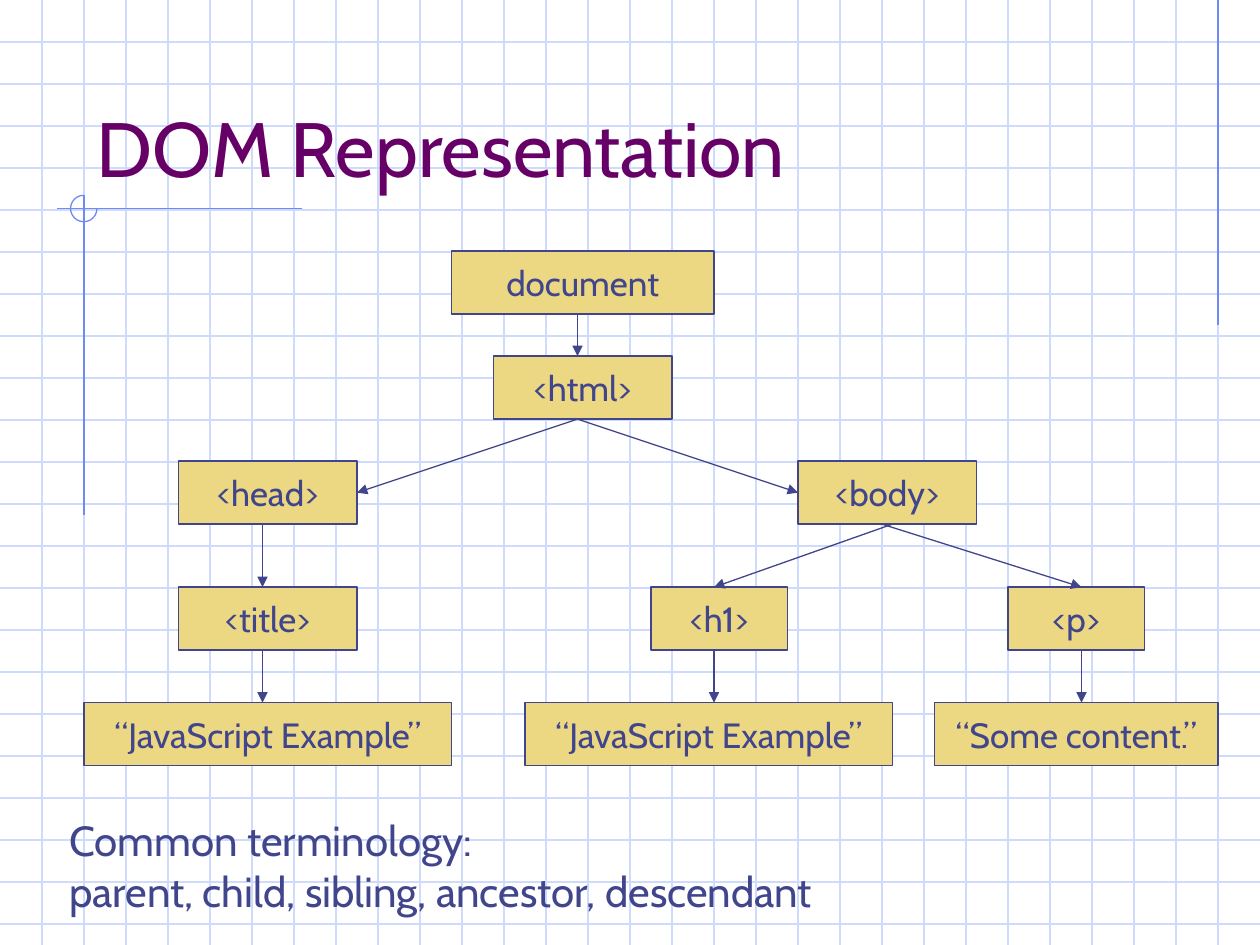
from lxml import etree
from pptx import Presentation
from pptx import util as u
from pptx.dml.color import RGBColor
from pptx.enum import shapes, text
from pptx.oxml.ns import qn

COLORS = {
    "grid": "CFDBFD",
    "accent": "6F89F7",
    "title": "660066",
    "ink": "40458C",
    "node": "ECD882",
}
FONT = "Cabin"
COLUMNS, ROWS = 30, 22.5  # square cells, a third of an inch each
CELL = u.Inches(10) / COLUMNS
NODE_HEIGHT = 1.5
LEVELS = [5.98, 8.48, 10.98, 13.98, 16.73]  # top row of each tree level
LEFT, RIGHT = 1, 3  # connection sites of a rectangle

# key: (label, level, left column, width in columns)
NODES = {
    "document": ("document", 0, 10.75, 6.25),
    "html": ("<html>", 1, 11.75, 4.25),
    "head": ("<head>", 2, 4.25, 4.25),
    "body": ("<body>", 2, 19, 4.25),
    "title": ("<title>", 3, 4.25, 4.25),
    "h1": ("<h1>", 3, 15.5, 3.25),
    "p": ("<p>", 3, 24, 3.25),
    "title text": ("“JavaScript Example”", 4, 2, 8.75),
    "h1 text": ("“JavaScript Example”", 4, 12.5, 8.75),
    "p text": ("“Some content.”", 4, 22.25, 6.75),
}

# (parent, start column, child, end column), from bottom edge to top edge
DOWN_ARROWS = [
    ("document", 13.75, "html", 13.75),
    ("head", 6.25, "title", 6.25),
    ("body", 21.25, "h1", 17),
    ("body", 21, "p", 25.75),
    ("title", 6.25, "title text", 6.25),
    ("h1", 17, "h1 text", 17),
    ("p", 25.75, "p text", 25.75),
]


def cells(count):
    return u.Emu(round(count * CELL))


def color(name):
    return RGBColor.from_string(COLORS[name])


def add_line(slide, start, end, color_name, arrow=False):
    line = slide.shapes.add_connector(
        shapes.MSO_CONNECTOR.STRAIGHT, *map(cells, (*start, *end)))
    line.line.color.rgb = color(color_name)
    line.line.width = u.Pt(0.75)
    if arrow:
        etree.SubElement(line.line._get_or_add_ln(), qn("a:tailEnd"), type="triangle")
    etree.SubElement(line._element.spPr, qn("a:effectLst"))
    return line


def set_text(shape, lines, size, color_name, anchor, alignment):
    frame = shape.text_frame
    frame.word_wrap = True
    frame.vertical_anchor = anchor
    frame.text = "\n".join(lines)
    for paragraph in frame.paragraphs:
        paragraph.alignment = alignment
        paragraph.font.name = FONT
        paragraph.font.size = u.Pt(size)
        paragraph.font.color.rgb = color(color_name)


def add_text(slide, box, lines, size, color_name, anchor):
    shape = slide.shapes.add_textbox(*map(cells, box))
    set_text(shape, lines, size, color_name, anchor, text.PP_ALIGN.LEFT)


def add_node(slide, label, level, left, width):
    shape = slide.shapes.add_shape(
        shapes.MSO_SHAPE.RECTANGLE,
        *map(cells, (left, LEVELS[level], width, NODE_HEIGHT)))
    shape.shadow.inherit = False
    shape.fill.solid()
    shape.fill.fore_color.rgb = color("node")
    shape.line.color.rgb = color("ink")
    shape.line.width = u.Pt(0.75)
    set_text(shape, [label], 20, "ink", text.MSO_ANCHOR.MIDDLE, text.PP_ALIGN.CENTER)
    shape.text_frame.word_wrap = False
    return shape


def add_background(slide):
    # Graph paper
    for row in range(1, int(ROWS) + 1):
        add_line(slide, (0, row), (COLUMNS, row), "grid")
    for column in range(1, COLUMNS):
        add_line(slide, (column, 0), (column, ROWS), "grid")

    # Accent rules
    add_line(slide, (29, 0), (29, 7.75), "accent")
    add_line(slide, (7.2, 4.97), (1.35, 4.97), "accent")
    add_line(slide, (2, 4.65), (2, 12.27), "accent")

    # Three-quarter circle where the rules cross
    arc = slide.shapes.add_shape(
        shapes.MSO_SHAPE.ARC, *map(cells, (1.68, 4.65, 0.63, 0.63)))
    arc.adjustments[0] = 0
    arc.adjustments[1] = 162  # 270 degrees
    arc.shadow.inherit = False
    arc.fill.background()
    arc.line.color.rgb = color("accent")
    arc.line.width = u.Pt(0.75)


def add_tree(slide):
    nodes = {key: add_node(slide, *node) for key, node in NODES.items()}

    for parent, start, child, end in DOWN_ARROWS:
        bottom = LEVELS[NODES[parent][1]] + NODE_HEIGHT
        add_line(slide, (start, bottom), (end, LEVELS[NODES[child][1]]), "ink", arrow=True)

    # Branches from <html> to the facing sides of its children
    fork = (13.75, LEVELS[1] + NODE_HEIGHT)
    side_row = LEVELS[2] + NODE_HEIGHT / 2
    for child, column, site in (("head", 8.5, RIGHT), ("body", 19, LEFT)):
        branch = add_line(slide, fork, (column, side_row), "ink", arrow=True)
        branch.end_connect(nodes[child], site)


def main():
    presentation = Presentation()
    presentation.slide_width = cells(COLUMNS)
    presentation.slide_height = cells(ROWS)
    slide = presentation.slides.add_slide(presentation.slide_layouts[6])

    add_background(slide)
    add_text(slide, (2, 1, 25.5, 3.75), ["DOM Representation"], 44, "title",
             text.MSO_ANCHOR.BOTTOM)
    add_tree(slide)
    add_text(slide, (1.35, 19.25, 20.75, 2.7),
             ["Common terminology:", "parent, child, sibling, ancestor, descendant"],
             24, "ink", text.MSO_ANCHOR.TOP)

    presentation.save("out.pptx")


if __name__ == "__main__":
    main()
